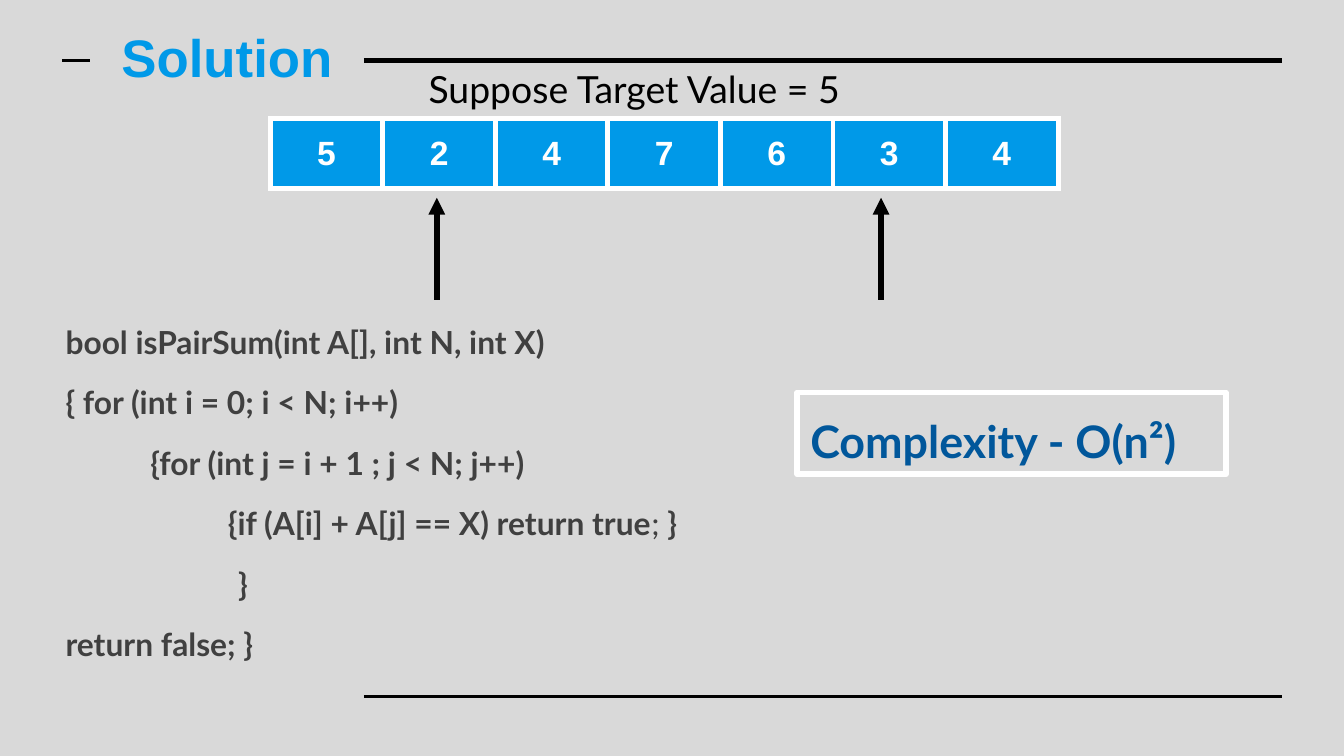
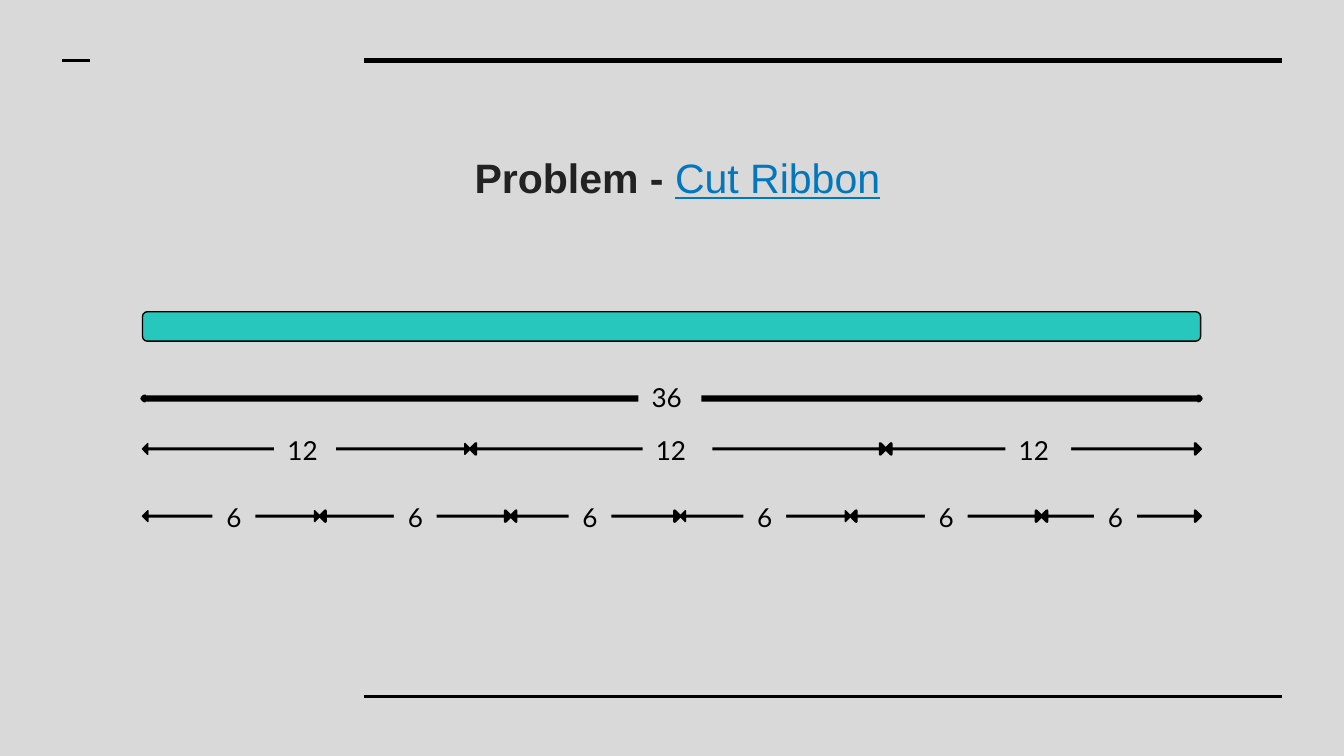
import pptx
import pptx.util
import pptx.dml.color
import pptx.enum.shapes
import pptx.enum.text
import pptx.oxml
import pptx.oxml.ns

Pt = pptx.util.Pt
SHAPE = pptx.enum.shapes.MSO_SHAPE
ALIGN = pptx.enum.text.PP_ALIGN
ANCHOR = pptx.enum.text.MSO_ANCHOR
NS = pptx.oxml.ns.nsdecls("a")
BACK, BLACK, WHITE = "D9D9D9", "000000", "FFFFFF"
BLUE, TEAL, NAVY, LINK = "0099E8", "27C7BD", "01579B", "0277BD"
CODE, INK = "404040", "222222"


def rgb(color):
    return pptx.dml.color.RGBColor.from_string(color)


def style(p, size, name, color, bold=False, align=ALIGN.LEFT):
    p.alignment = align
    p.font.size = Pt(size)
    p.font.name = name
    p.font.bold = bold
    p.font.color.rgb = rgb(color)


prs = pptx.Presentation()
prs.slide_width, prs.slide_height = Pt(720), Pt(405)
fill = prs.slide_master.background.fill
fill.solid()
fill.fore_color.rgb = rgb(BACK)
solution, ribbon = [prs.slides.add_slide(prs.slide_layouts[5]) for _ in range(2)]

frame = [(195, 32.5, 687, 32.5, 3), (195, 373, 687, 373, 1.5), (33.5, 32.5, 48, 32.5, 1.5)]
pointers = [(x, 160.5, x, 106, 3) for x in (234, 472)]
for s, lines in ((solution, frame + pointers), (ribbon, frame)):
    for x1, y1, x2, y2, width in lines:
        line = s.shapes.add_connector(
            pptx.enum.shapes.MSO_CONNECTOR.STRAIGHT, Pt(x1), Pt(y1), Pt(x2), Pt(y2))
        line.line.width = Pt(width)
        line.line.color.rgb = rgb(BLACK)
        if x1 == x2:
            line.line._get_or_add_ln().append(
                pptx.oxml.parse_xml(f'<a:tailEnd {NS} type="triangle"/>'))
        line._element.spPr.append(pptx.oxml.parse_xml(f"<a:effectLst {NS}/>"))

titles = [
    (solution, (50.4, 12.2, 142.6, 62.6), ANCHOR.TOP),
    (ribbon, (34.6, 72.7, 656.6, 43.9), ANCHOR.MIDDLE),
]
for s, box, anchor in titles:
    sp = s.shapes.title
    sp.left, sp.top, sp.width, sp.height = [Pt(v) for v in box]
    tf = sp.text_frame
    tf.auto_size = pptx.enum.text.MSO_AUTO_SIZE.NONE
    tf.vertical_anchor = anchor
    tf.margin_left = tf.margin_right = tf.margin_top = tf.margin_bottom = Pt(7.2)

p = solution.shapes.title.text_frame.paragraphs[0]
p.text = "Solution"
p.line_spacing = 0.82
style(p, 28.3, "Arial", BLUE, True, ALIGN.CENTER)

p = ribbon.shapes.title.text_frame.paragraphs[0]
style(p, 22, "Arial", INK, align=ALIGN.CENTER)
for text, color, linked in (("Problem - ", INK, False), ("Cut Ribbon", LINK, True)):
    r = p.add_run()
    r.text = text
    r.font.bold = not linked
    r.font.underline = linked
    r.font.color.rgb = rgb(color)

code = [
    (0, ["bool isPairSum(int A[], int N, int X)"]),
    (0, ["{ for (int i = 0; i < N; i++)"]),
    (45.5, ["{for (int j = i + 1 ; j < N; j++)"]),
    (87, ["{if (A[i] + A[j] == X) return true", ";", " }"]),
    (92.5, ["}"]),
    (0, ["return false; }"]),
]
target = [(0, ["Suppose Target Value = 5"])]
blocks = [
    ((28, 165.6, 539.3, 198.7), code, 17, CODE, True),
    ((222.5, 28.1, 275, 38.9), target, 20, BLACK, False),
]
for box, rows, size, color, bold in blocks:
    tf = solution.shapes.add_textbox(*[Pt(v) for v in box]).text_frame
    tf.word_wrap = True
    tf.margin_top = tf.margin_bottom = Pt(7.2)
    for i, (indent, parts) in enumerate(rows):
        p = tf.add_paragraph() if i else tf.paragraphs[0]
        style(p, size, "Lato", color, bold, ALIGN.LEFT)
        p.space_before = Pt(12 if i else 0)
        p._p.get_or_add_pPr().set("marL", str(Pt(indent)))
        for text in parts:
            r = p.add_run()
            r.text = text
            if text == ";":
                r.font.bold = False

values = [5, 2, 4, 7, 6, 3, 4]
table = solution.shapes.add_table(
    1, len(values), Pt(144.8), Pt(63.6), Pt(60.3 * len(values)), Pt(37.2)).table
for column, cell, value in zip(table.columns, table.rows[0].cells, values):
    column.width = Pt(60.3)
    cell.text = str(value)
    cell.vertical_anchor = ANCHOR.MIDDLE
    cell.margin_top = cell.margin_bottom = Pt(7.2)
    style(cell.text_frame.paragraphs[0], 18, "Arial", WHITE, True, ALIGN.CENTER)
    tcPr = cell._tc.get_or_add_tcPr()
    for side in ("lnL", "lnR", "lnT", "lnB"):
        tcPr.append(pptx.oxml.parse_xml(
            f'<a:{side} {NS} w="{Pt(3)}"><a:solidFill><a:srgbClr val="{WHITE}"/>'
            f"</a:solidFill></a:{side}>"))
    cell.fill.solid()
    cell.fill.fore_color.rgb = rgb(BLUE)

sp = solution.shapes.add_shape(SHAPE.RECTANGLE, Pt(427), Pt(210.2), Pt(229.7), Pt(43.9))
sp.shadow.inherit = False
sp.fill.background()
sp.line.color.rgb = rgb(WHITE)
sp.line.width = Pt(3)
tf = sp.text_frame
tf.vertical_anchor = ANCHOR.TOP
tf.margin_top = tf.margin_bottom = Pt(7.2)
p = tf.paragraphs[0]
p.text = "Complexity - O(n²)"
p.line_spacing = 1.15
p.space_after = Pt(12)
style(p, 24, "Lato", NAVY, True)

left, right = 76.3, 643.2
thirds = [left, 252, 474.5, right]
sixths = [left, 171.4, 273.6, 364.3, 455.8, 558, right]
bars = [(SHAPE.ROUNDED_RECTANGLE, left, right, 167, 15.8, [0.167], TEAL, 0.75),
        (SHAPE.LEFT_RIGHT_ARROW, left, right, 212.4, 2.2, [0.5, 0.5], BLACK, 2.25)]
for edges, top, thick in ((thirds, 237.6, [0]), (sixths, 273.6, [0, 3])):
    for i, (x1, x2) in enumerate(zip(edges, edges[1:])):
        shaft, width = (0.153, 0.75) if i in thick else (0, 1.5)
        bars.append((SHAPE.LEFT_RIGHT_ARROW, x1, x2, top, 5.8, [shaft, 0.5], BLACK, width))
for kind, x1, x2, top, height, adjust, color, width in bars:
    sp = ribbon.shapes.add_shape(kind, Pt(x1), Pt(top), Pt(x2 - x1), Pt(height))
    sp.shadow.inherit = False
    for i, value in enumerate(adjust):
        sp.adjustments[i] = value
    sp.fill.solid()
    sp.fill.fore_color.rgb = rgb(color)
    sp.line.color.rgb = rgb(BLACK)
    sp.line.width = Pt(width)

labels = [("36", 342, 197.3, 33.8)]
labels += [("12", x, 225.4, w) for x, w in ((146.9, 33.1), (344.2, 37.4), (538.6, 35.3))]
labels += [("6", x, 261.4, 23) for x in (113.8, 211, 304.6, 398.2, 495.4, 586.1)]
for text, x, top, width in labels:
    sp = ribbon.shapes.add_shape(SHAPE.RECTANGLE, Pt(x), Pt(top), Pt(width), Pt(31.7))
    sp.shadow.inherit = False
    sp.fill.solid()
    sp.fill.fore_color.rgb = rgb(BACK)
    sp.line.fill.background()
    tf = sp.text_frame
    tf.vertical_anchor = ANCHOR.TOP
    tf.margin_top = tf.margin_bottom = Pt(7.2)
    p = tf.paragraphs[0]
    p.text = text
    style(p, 14, "Lato", BLACK, align=ALIGN.CENTER if text == "6" else ALIGN.LEFT)

prs.save("out.pptx")
